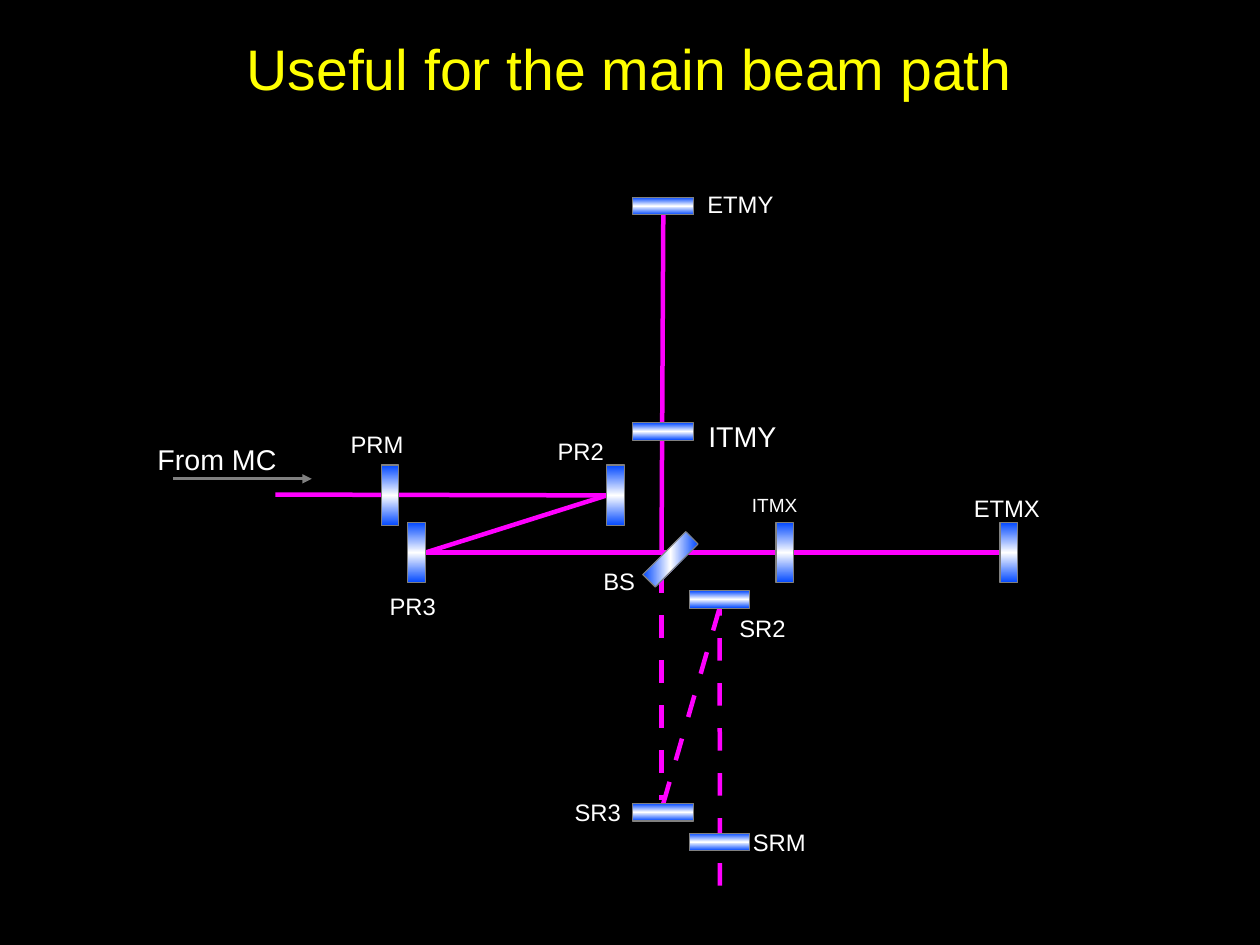
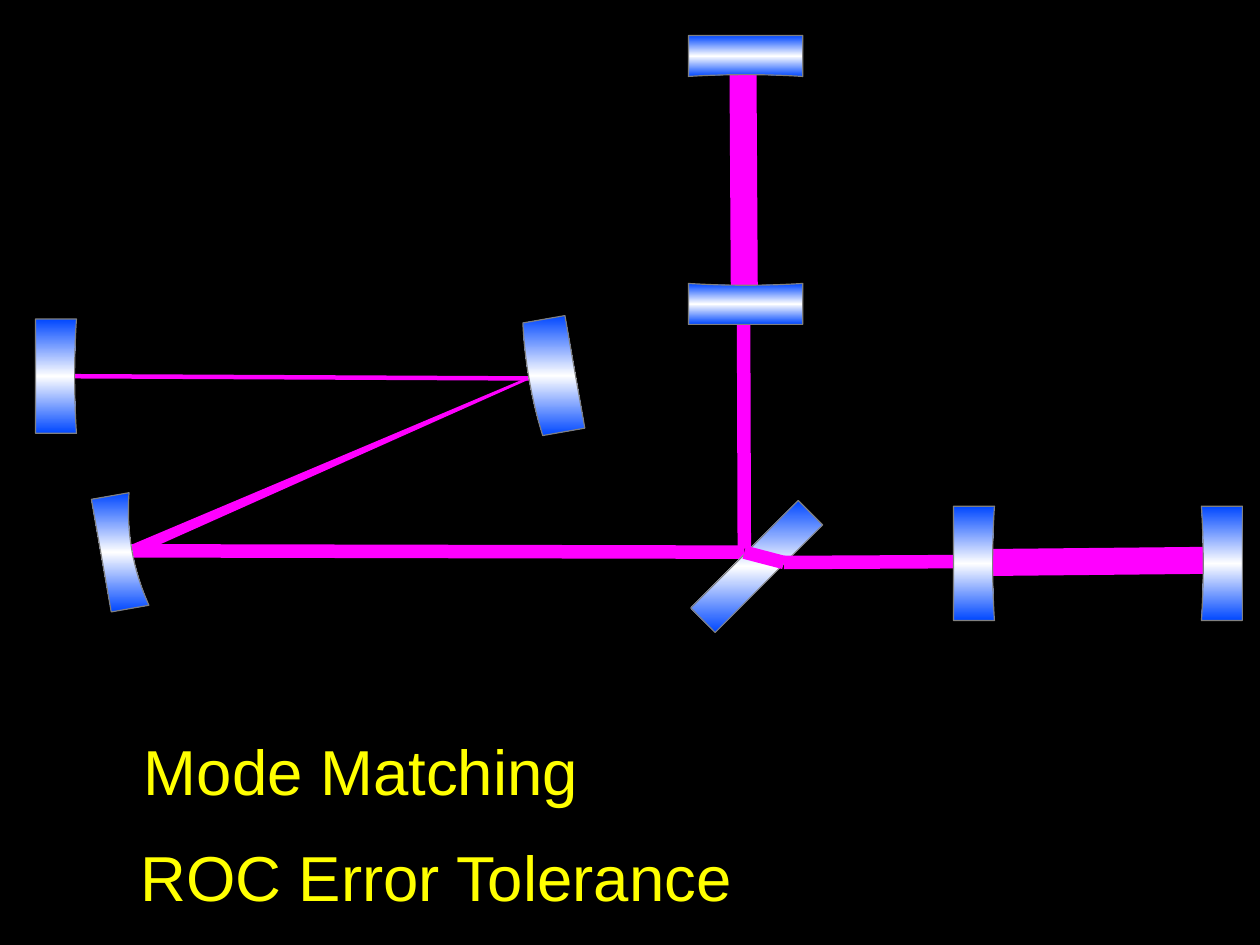
from copy import deepcopy
from dataclasses import dataclass
from math import cos, radians, sin

from pptx import Presentation
from pptx.dml.color import RGBColor
from pptx.enum.shapes import MSO_CONNECTOR, MSO_SHAPE
from pptx.oxml.ns import qn
from pptx.util import Cm, Pt
from lxml import etree

STRAIGHT = MSO_CONNECTOR.STRAIGHT
RECTANGLE = MSO_SHAPE.RECTANGLE
TOP, LEFT, BOTTOM, RIGHT = range(4)
HORIZONTAL, VERTICAL = 0, 90


@dataclass(frozen=True)
class Theme:
    font: str = "Arial"
    background: RGBColor = RGBColor(0, 0, 0)
    title: RGBColor = RGBColor(255, 255, 0)
    label: RGBColor = RGBColor(255, 255, 255)
    beam: RGBColor = RGBColor(255, 0, 255)
    outline: RGBColor = RGBColor(128, 128, 128)
    mirror_edge: RGBColor = RGBColor(0, 71, 255)
    mirror_middle: RGBColor = RGBColor(255, 255, 255)
    title_size: int = 36
    heading_size: int = 40
    label_size: int = 15
    large_label_size: int = 18
    small_label_size: int = 12
    thin: float = 2.83
    medium: float = 8.5
    thick: float = 17


theme = Theme()


def add_line(s, start, end, width, color=theme.beam):
    line = s.shapes.add_connector(STRAIGHT, *map(Cm, start + end))
    line.line.color.rgb = color
    line.line.width = Pt(width)
    etree.SubElement(line._element.spPr, qn("a:effectLst"))
    return line


def style_mirror(sp, axis=VERTICAL):
    """Fill with an edge-middle-edge gradient along an axis fixed to the slide."""
    sp.shadow.inherit = False
    sp.line.color.rgb = theme.outline
    sp.line.width = Pt(0)
    fill = sp.fill
    fill.gradient()
    fill.gradient_angle = axis
    gradient = sp._element.spPr.find(qn("a:gradFill"))
    gradient.set("rotWithShape", "0")
    stops = gradient.find(qn("a:gsLst"))
    stops.insert(1, deepcopy(stops[0]))
    colors = (theme.mirror_edge, theme.mirror_middle, theme.mirror_edge)
    for i, (stop, color) in enumerate(zip(fill.gradient_stops, colors)):
        stop.position = i / 2
        stop.color.rgb = color


prs = Presentation()
prs.slide_width, prs.slide_height = Cm(28), Cm(21)
background = prs.slide_master.background.fill
background.solid()
background.fore_color.rgb = theme.background
blank = prs.slide_layouts[6]

# Slide 1: layout of the main beam path
s = layout_slide = prs.slides.add_slide(blank)

# start, end, joined start, joined end, dashed
beam_path = [
    ((14.7, 12.67), (14.7, 17.78), None, None, True),
    ((14.7, 12.32), (14.74, 4.78), None, ("ETMY", BOTTOM), False),
    ((9.46, 12.28), (22.22, 12.28), ("PR3", RIGHT), ("ETMX", LEFT), False),
    ((9.46, 12.28), (13.48, 11.01), ("PR3", RIGHT), ("PR2", LEFT), False),
    ((6.12, 10.99), (13.48, 11.01), None, ("PR2", LEFT), False),
    ((14.74, 17.85), (15.99, 13.52), ("SR3", TOP), ("SR2", BOTTOM), True),
    ((16, 19.68), (15.99, 13.52), None, ("SR2", BOTTOM), True),
]
beams = []
for start, end, _, _, dashed in beam_path:
    beam = add_line(s, start, end, theme.thin)
    if dashed:
        dash = etree.SubElement(beam.line._get_or_add_ln(), qn("a:custDash"))
        etree.SubElement(dash, qn("a:ds"), d="500000", sp="500000")
    beams.append(beam)

MIRROR_DEPTH, MIRROR_LENGTH = 0.39, 1.35
upright = (MIRROR_DEPTH, MIRROR_LENGTH)
flat = (MIRROR_LENGTH, MIRROR_DEPTH)
mirror_centres = {
    "PRM": (8.67, 11.01, upright),
    "PR2": (13.68, 11.01, upright),
    "PR3": (9.26, 12.28, upright),
    "BS": (14.9, 12.43, upright),
    "ITMX": (17.44, 12.28, upright),
    "ETMX": (22.42, 12.28, upright),
    "ITMY": (14.74, 9.59, flat),
    "ETMY": (14.74, 4.58, flat),
    "SR3": (14.74, 18.05, flat),
    "SR2": (15.99, 13.32, flat),
    "SRM": (15.99, 18.71, flat),
}
mirrors = {}
for name, (x, y, (w, h)) in mirror_centres.items():
    sp = s.shapes.add_shape(RECTANGLE, Cm(x - w / 2), Cm(y - h / 2), Cm(w), Cm(h))
    style_mirror(sp, HORIZONTAL if name == "BS" else VERTICAL)
    mirrors[name] = sp
mirrors["BS"].rotation = 45

for beam, (_, _, start_join, end_join, _) in zip(beams, beam_path):
    if start_join:
        beam.begin_connect(mirrors[start_join[0]], start_join[1])
    if end_join:
        beam.end_connect(mirrors[end_join[0]], end_join[1])

arrow = add_line(s, (3.84, 10.64), (6.93, 10.64), 0, theme.outline)
etree.SubElement(arrow.line._get_or_add_ln(), qn("a:tailEnd"), type="triangle")

# Slide 2: beam sizes and mirror curvatures
s = matching_slide = prs.slides.add_slide(blank)

add_line(s, (21.95, 12.5), (27, 12.45), theme.thick)
outline = [(2.95, 12.37), (2.84, 12.14), (11.79, 8.36), (11.81, 8.41)]
points = [(Cm(x), Cm(y)) for x, y in outline]
builder = s.shapes.build_freeform(*points[0])
builder.add_line_segments(points[1:])
widening_beam = builder.convert_to_shape()
widening_beam.shadow.inherit = False
widening_beam.fill.solid()
widening_beam.fill.fore_color.rgb = theme.beam
widening_beam.line.fill.background()
add_line(s, (2.9, 12.24), (16.54, 12.27), theme.medium)

splitter = s.shapes.add_shape(RECTANGLE, Cm(16.43), Cm(10.9), Cm(0.77), Cm(3.38))
splitter.rotation = 45
style_mirror(splitter)

for start, end, width in [
    ((17.42, 12.5), (16.54, 12.27), theme.medium),
    ((17.42, 12.5), (27, 12.45), theme.medium),
    ((1.57, 8.36), (11.76, 8.41), theme.thin),
    ((16.54, 6.45), (16.51, 1.4), theme.thick),
    ((16.54, 12.19), (16.51, 2.62), theme.medium),
]:
    add_line(s, start, end, width)

HALF_LENGTH, FACE_STEPS = 1.27, 16
# middle of the face's chord, facing angle (clockwise from right), depth, sag
for x, y, facing, depth, sag in [
    (1.7, 8.36, 0, 0.91, 0.04),
    (11.84, 8.43, 170, 0.95, -0.08),
    (3.09, 12.2, -10, 0.85, 0.16),
    (22.1, 12.52, 0, 0.91, 0.04),
    (26.7, 12.52, 180, 0.91, 0.04),
    (16.57, 6.3, -90, 0.91, 0.04),
    (16.57, 1.7, 90, 0.91, 0.04),
]:
    c, n = cos(radians(facing)), sin(radians(facing))
    steps = [2 * i / FACE_STEPS - 1 for i in range(FACE_STEPS + 1)]
    outline = [(-sag * (1 - t * t), t * HALF_LENGTH) for t in steps]
    outline += [(-depth, HALF_LENGTH), (-depth, -HALF_LENGTH)]
    points = [(Cm(x + u * c - v * n), Cm(y + u * n + v * c)) for u, v in outline]
    builder = s.shapes.build_freeform(*points[0])
    builder.add_line_segments(points[1:])
    style_mirror(builder.convert_to_shape())

# Text of both slides: text, left, top, width, size, colour
small, normal, large = theme.small_label_size, theme.label_size, theme.large_label_size
layout_texts = [
    ("PRM", 7.54, 9.42, 2.29, normal, theme.label),
    ("PR2", 12.14, 9.58, 2.06, normal, theme.label),
    ("PR3", 8.41, 13.03, 1.9, normal, theme.label),
    ("SR3", 12.52, 17.6, 1.8, normal, theme.label),
    ("SR2", 16.18, 13.51, 2.03, normal, theme.label),
    ("SRM", 16.48, 18.26, 2.13, normal, theme.label),
    ("ITMY", 15.49, 9.19, 2.36, large, theme.label),
    ("ETMY", 15.47, 4.09, 2.51, normal, theme.label),
    ("ITMX", 16.46, 10.85, 2.24, small, theme.label),
    ("ETMX", 21.39, 10.85, 2.49, normal, theme.label),
    ("BS", 13.16, 12.47, 1.4, normal, theme.label),
    ("From MC", 3.25, 9.7, 3.3, large, theme.label),
    ("Useful for the main beam path", 5.23, 0.61, 17.8, theme.title_size, theme.title),
]
matching_texts = [
    ("Mode Matching", 2.95, 16.15, 10.4, theme.heading_size, theme.title),
    ("ROC Error Tolerance", 2.87, 18.49, 13.9, theme.heading_size, theme.title),
]
for s, rows in [(layout_slide, layout_texts), (matching_slide, matching_texts)]:
    for text, x, y, w, size, color in rows:
        height = Cm(0.25) + int(Pt(size) * 1.2)
        tf = s.shapes.add_textbox(Cm(x), Cm(y), Cm(w), height).text_frame
        tf.word_wrap = True
        tf.text = text
        font = tf.paragraphs[0].runs[0].font
        font.name = theme.font
        font.size = Pt(size)
        font.color.rgb = color

prs.save("out.pptx")
